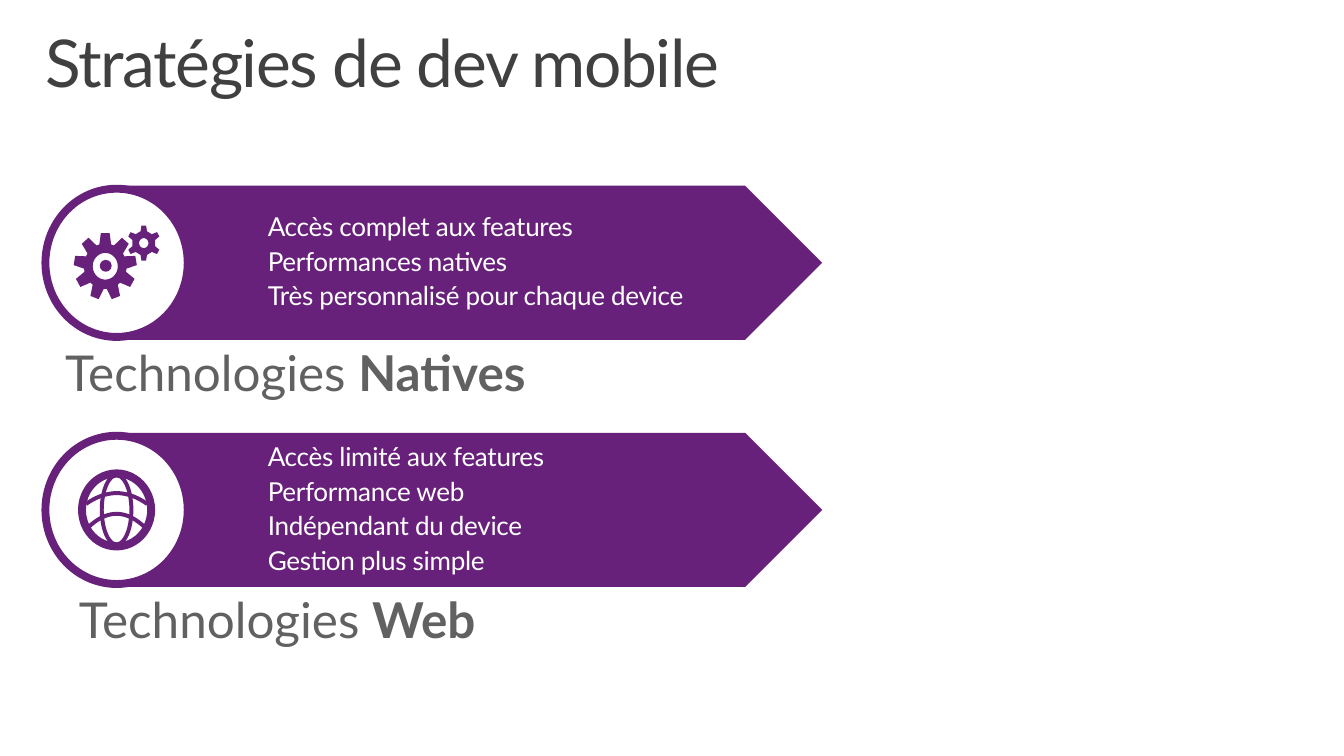
from math import cos, radians, sin

from pptx import Presentation
from pptx.dml.color import RGBColor
from pptx.enum.shapes import MSO_SHAPE
from pptx.enum.text import MSO_ANCHOR, PP_ALIGN
from pptx.util import Emu, Pt

PX = 9144  # EMU in one px, at 100 px to the inch
FINE = 100  # freeform units in one px
FONT = "Lato"
COLORS = {
    "purple": "68217A",
    "white": "FFFFFF",
    "title": "404040",
    "label": "616161",
}

ROW_STEP = 250
ROWS = [
    {
        "list": [
            "Accès complet aux features",
            "Performances natives",
            "Très personnalisé pour chaque device",
        ],
        "label": "Natives",
        "label_box": (56, 341, 525, 71),
    },
    {
        "list": [
            "Accès limité aux features",
            "Performance web",
            "Indépendant du device",
            "Gestion plus simple",
        ],
        "label": "Web",
        "label_box": (70, 591, 451, 71),
    },
]


def color(name):
    return RGBColor.from_string(COLORS[name])


def add_run(paragraph, text, size, tint, bold=False, spacing=0):
    run = paragraph.add_run()
    run.text = text
    run.font.name = FONT
    run.font.size = Pt(size)
    run.font.bold = bold
    run.font.color.rgb = color(tint)
    if spacing:
        run.font._element.set("spc", str(round(spacing * 100)))


def set_margins(frame, left, top, right, bottom):
    frame.margin_left, frame.margin_top = Emu(left * PX), Emu(top * PX)
    frame.margin_right, frame.margin_bottom = Emu(right * PX), Emu(bottom * PX)


def ring_points(center, radius_x, radius_y, angles):
    x, y = center
    return [
        (x + radius_x * sin(radians(angle)), y - radius_y * cos(radians(angle)))
        for angle in angles
    ]


def gear_points(center, teeth, tip, root):
    """Outline with the first tooth at the top, slightly narrower than tall."""
    points = []
    for tooth in range(teeth):
        middle = tooth * 360 / teeth
        for offset, radius in ((-16, root), (-8, tip), (8, tip), (16, root)):
            points += ring_points(center, radius * 0.94, radius, [middle + offset])
    return points


class SlideBuilder:
    def __init__(self, slide):
        self.slide = slide

    def title(self, text, box):
        shape = self.slide.shapes.title
        shape.left, shape.top, shape.width, shape.height = (Emu(v * PX) for v in box)
        frame = shape.text_frame
        frame.word_wrap = True
        frame.vertical_anchor = MSO_ANCHOR.TOP
        set_margins(frame, 16, 10, 16, 10)
        paragraph = frame.paragraphs[0]
        paragraph.alignment = PP_ALIGN.LEFT
        paragraph.line_spacing = 0.9
        add_run(paragraph, text, 48, "title", spacing=-1)

    def style(self, shape, fill=None, line=None, weight=1):
        shape.shadow.inherit = False
        if fill:
            shape.fill.solid()
            shape.fill.fore_color.rgb = color(fill)
        else:
            shape.fill.background()
        if line:
            shape.line.color.rgb = color(line)
            shape.line.width = Pt(weight)
        else:
            shape.line.fill.background()

    def preset(self, kind, box, **look):
        shape = self.slide.shapes.add_shape(kind, *(Emu(v * PX) for v in box))
        self.style(shape, **look)
        return shape

    def outline(self, contours, closed=True, **look):
        contours = [[(x * FINE, y * FINE) for x, y in c] for c in contours]
        builder = self.slide.shapes.build_freeform(*contours[0][0], scale=PX / FINE)
        for index, contour in enumerate(contours):
            if index:
                builder.move_to(*contour[0])
            builder.add_line_segments(contour[1:], close=closed)
        self.style(builder.convert_to_shape(), **look)

    def list_arrow(self, lines, box):
        frame = self.preset(MSO_SHAPE.PENTAGON, box, fill="purple").text_frame
        frame.word_wrap = True
        frame.vertical_anchor = MSO_ANCHOR.MIDDLE
        set_margins(frame, 140, 0, 10, 0)
        for index, line in enumerate(lines):
            paragraph = frame.add_paragraph() if index else frame.paragraphs[0]
            paragraph.alignment = PP_ALIGN.LEFT
            paragraph.line_spacing = 0.9
            paragraph.space_before = Pt(4.6)
            paragraph._p.get_or_add_pPr().set("marL", str(13 * PX))
            add_run(paragraph, line, 19, "white", spacing=-0.2)

    def label(self, plain, strong, box):
        shape = self.slide.shapes.add_textbox(*(Emu(v * PX) for v in box))
        shape.text_frame.word_wrap = True
        paragraph = shape.text_frame.paragraphs[0]
        add_run(paragraph, plain, 36, "label")
        add_run(paragraph, strong, 36, "label", bold=True)

    def gear(self, center, teeth, tip, root, hole):
        opening = ring_points(center, hole * 0.94, hole, range(0, 360, 10))
        self.outline([gear_points(center, teeth, tip, root), opening], fill="purple")

    def globe(self, center):
        x, y = center
        # Rim and meridians
        for half_width, half_height, weight in ((35, 37, 5.75), (15, 35, 2.9)):
            box = (x - half_width, y - half_height, 2 * half_width, 2 * half_height)
            self.preset(MSO_SHAPE.OVAL, box, line="purple", weight=weight)
        # Parallels
        for crown, half_width, drop in ((-17, 31, 11), (4, 28, 13)):
            steps = [step / 10 for step in range(-10, 11)]
            curve = [(x + half_width * s, y + crown + drop * s * s) for s in steps]
            self.outline([curve], closed=False, line="purple", weight=2.9)


def main():
    presentation = Presentation()
    presentation.slide_width = Emu(1360 * PX)
    presentation.slide_height = Emu(765 * PX)
    builder = SlideBuilder(presentation.slides.add_slide(presentation.slide_layouts[5]))

    builder.title("Stratégies de dev mobile", (30, 21, 1300, 100))

    # Arrow, label and badge of each strategy
    for index, row in enumerate(ROWS):
        shift = index * ROW_STEP
        builder.list_arrow(row["list"], (118, 188 + shift, 714, 156))
        builder.label("Technologies ", row["label"], row["label_box"])
        badge = (46, 191 + shift, 144, 150)
        builder.preset(MSO_SHAPE.OVAL, badge, fill="white", line="purple", weight=5.75)

    # Gears for native, globe for web
    builder.gear((106.5, 269.5), teeth=9, tip=34, root=23, hole=13.5)
    builder.preset(MSO_SHAPE.OVAL, (101, 263, 12, 12), fill="purple")
    builder.gear((145.5, 246), teeth=6, tip=18, root=12.5, hole=5)
    builder.globe((118, 516))

    presentation.save("out.pptx")


if __name__ == "__main__":
    main()
